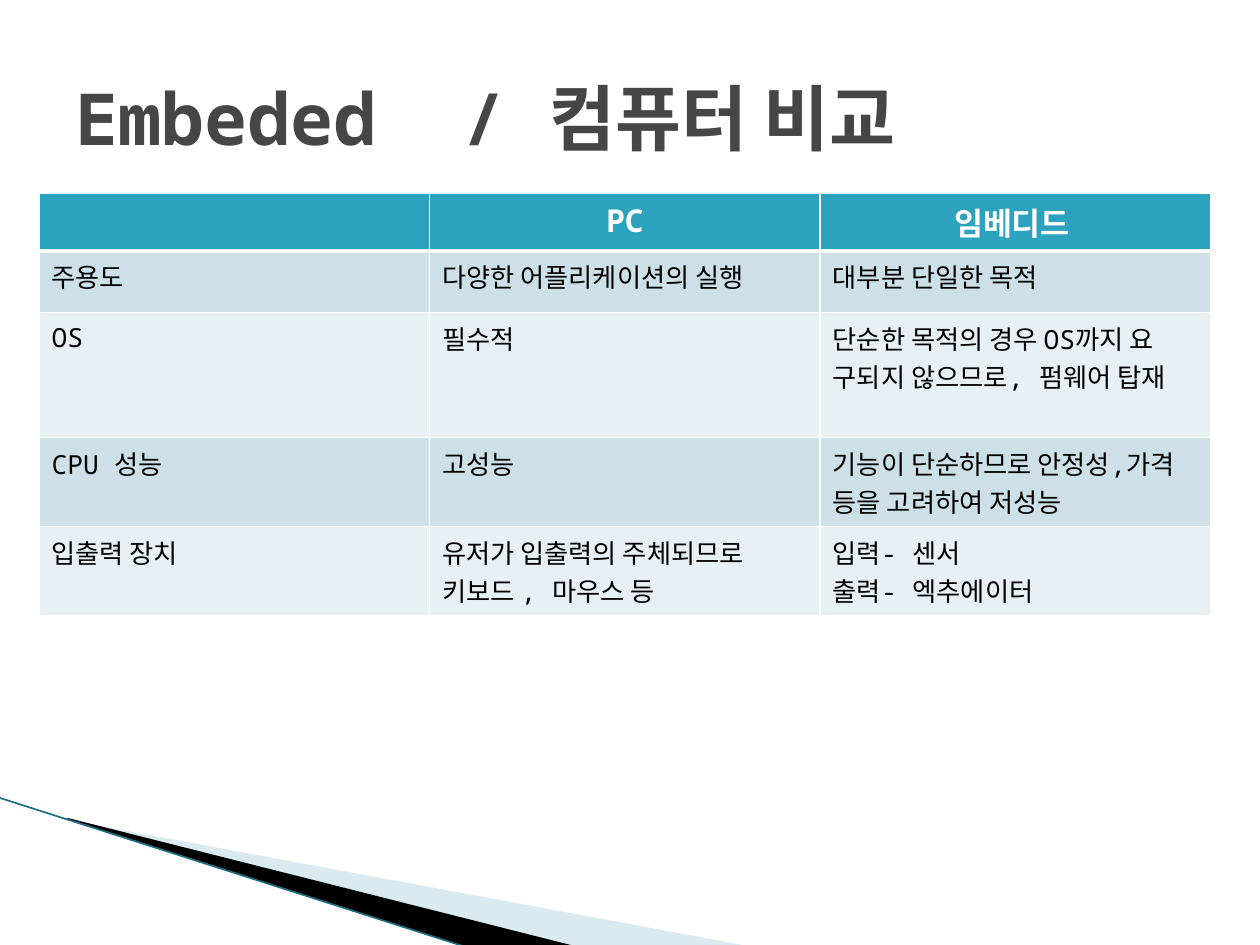
"""Build a slide that compares a PC with an embedded system in a table."""
from lxml.etree import SubElement
from pptx import Presentation
from pptx.dml.color import RGBColor
from pptx.enum.shapes import MSO_CONNECTOR
from pptx.enum.text import MSO_ANCHOR, MSO_AUTO_SIZE, PP_ALIGN
from pptx.oxml import parse_xml
from pptx.oxml.ns import nsdecls, qn
from pptx.util import Inches, Pt

FONT = "Noto Sans Mono"
KOREAN_FONT = "Noto Sans CJK KR"
color = RGBColor.from_string


def write(frame, text, size=15, ink="000000", bold=False, align=PP_ALIGN.LEFT):
    for index, line in enumerate(text.split("\n")):
        para = frame.paragraphs[0] if index == 0 else frame.add_paragraph()
        para.alignment = align
        span = para.add_run()
        span.text = line
        span.font.name = FONT
        span.font.size = Pt(size)
        span.font.bold = bold
        span.font.color.rgb = color(ink)
        SubElement(span.font._element, qn("a:ea"), typeface=KOREAN_FONT)


def set_borders(cell, widths):
    properties = cell._tc.get_or_add_tcPr()
    for index, (side, width) in enumerate(widths.items()):
        properties.insert(index, parse_xml(
            f'<a:{side} {nsdecls("a")} w="{Pt(width)}"><a:solidFill>'
            f'<a:srgbClr val="FFFFFF"/></a:solidFill></a:{side}>'))


deck = Presentation()
deck.slide_width, deck.slide_height = Inches(10), Inches(7.5)
page = deck.slides.add_slide(deck.slide_layouts[5])

wedges = [
    ("A0CBDC", 40, (0.78, 5.47, 4.16, 1.58),
     [(0.55, 6.51), (5.95, 7.51), (4.56, 7.51), (0.55, 6.5)]),
    ("000000", 100, (-0.06, 6.33, 4.16, 0.92),
     [(0.53, 6.49), (4.57, 7.51), (3.72, 7.52), (0.54, 6.5)]),
]
for fill, opacity, bounds, corners in wedges:
    points = [(Inches(x), Inches(y)) for x, y in corners]
    builder = page.shapes.build_freeform(*points[0])
    builder.add_line_segments(points[1:], close=True)
    wedge = builder.convert_to_shape()
    left, top, width, height = map(Inches, bounds)
    shift_x, shift_y = wedge.left - left, wedge.top - top
    for outline in wedge._element.iter(qn("a:path")):
        outline.set("w", str(width))
        outline.set("h", str(height))
        for point in outline.iter(qn("a:pt")):
            point.set("x", str(int(point.get("x")) + shift_x))
            point.set("y", str(int(point.get("y")) + shift_y))
    wedge.left, wedge.top, wedge.width, wedge.height = left, top, width, height
    wedge.shadow.inherit = False
    wedge.line.fill.background()
    wedge.fill.solid()
    wedge.fill.fore_color.rgb = color(fill)
    if opacity < 100:
        tint = wedge._element.spPr.find(qn("a:solidFill"))[0]
        SubElement(tint, qn("a:alpha"), val=str(opacity * 1000))

edge = page.shapes.add_connector(
    MSO_CONNECTOR.STRAIGHT, Inches(-0.01), Inches(6.33), Inches(3.71), Inches(7.52))
edge.line.color.rgb = color("1B6E82")
edge.line.width = Pt(0.95)
SubElement(edge._element.spPr, qn("a:effectLst"))

title = page.shapes.title
title.left, title.top = Inches(0.5), Inches(0.3)
title.width, title.height = Inches(9), Inches(1.25)
title.text_frame.word_wrap = True
title.text_frame.auto_size = MSO_AUTO_SIZE.NONE
title.text_frame.vertical_anchor = MSO_ANCHOR.MIDDLE
write(title.text_frame, "Embeded  / 컴퓨터 비교", size=41, ink="464646", bold=True)

rows = [
    ("", "PC", "임베디드 "),
    ("주용도", "다양한 어플리케이션의 실행", "대부분 단일한 목적"),
    ("OS", "필수적", "단순한 목적의 경우 OS까지 요\n구되지 않으므로, 펌웨어 탑재"),
    ("CPU 성능", "고성능", "기능이 단순하므로 안정성,가격 등을 고려하여 저성능"),
    ("입출력 장치", "유저가 입출력의 주체되므로\n키보드 , 마우스 등", "입력- 센서\n출력- 엑추에이터"),
]
heights = [0.46, 0.49, 0.99, 0.7, 0.7]
table = page.shapes.add_table(
    len(rows), 3, Inches(0.31), Inches(1.53), Inches(9.3), Inches(sum(heights))).table
for column in table.columns:
    column.width = Inches(3.1)
for row_index, (texts, height) in enumerate(zip(rows, heights)):
    table.rows[row_index].height = Inches(height)
    header = row_index == 0
    fill = "2DA2BF" if header else ("E8F0F4", "CDE0E8")[row_index % 2]
    for column_index, text in enumerate(texts):
        cell = table.cell(row_index, column_index)
        cell.fill.solid()
        cell.fill.fore_color.rgb = color(fill)
        set_borders(cell, {"lnL": 1, "lnR": 1, "lnT": 3 if row_index == 1 else 1,
                           "lnB": 3 if header else 1})
        if header and text:
            write(cell.text_frame, text, size=18, ink="FFFFFF", bold=True,
                  align=PP_ALIGN.CENTER)
        elif text:
            write(cell.text_frame, text)

deck.save("out.pptx")
